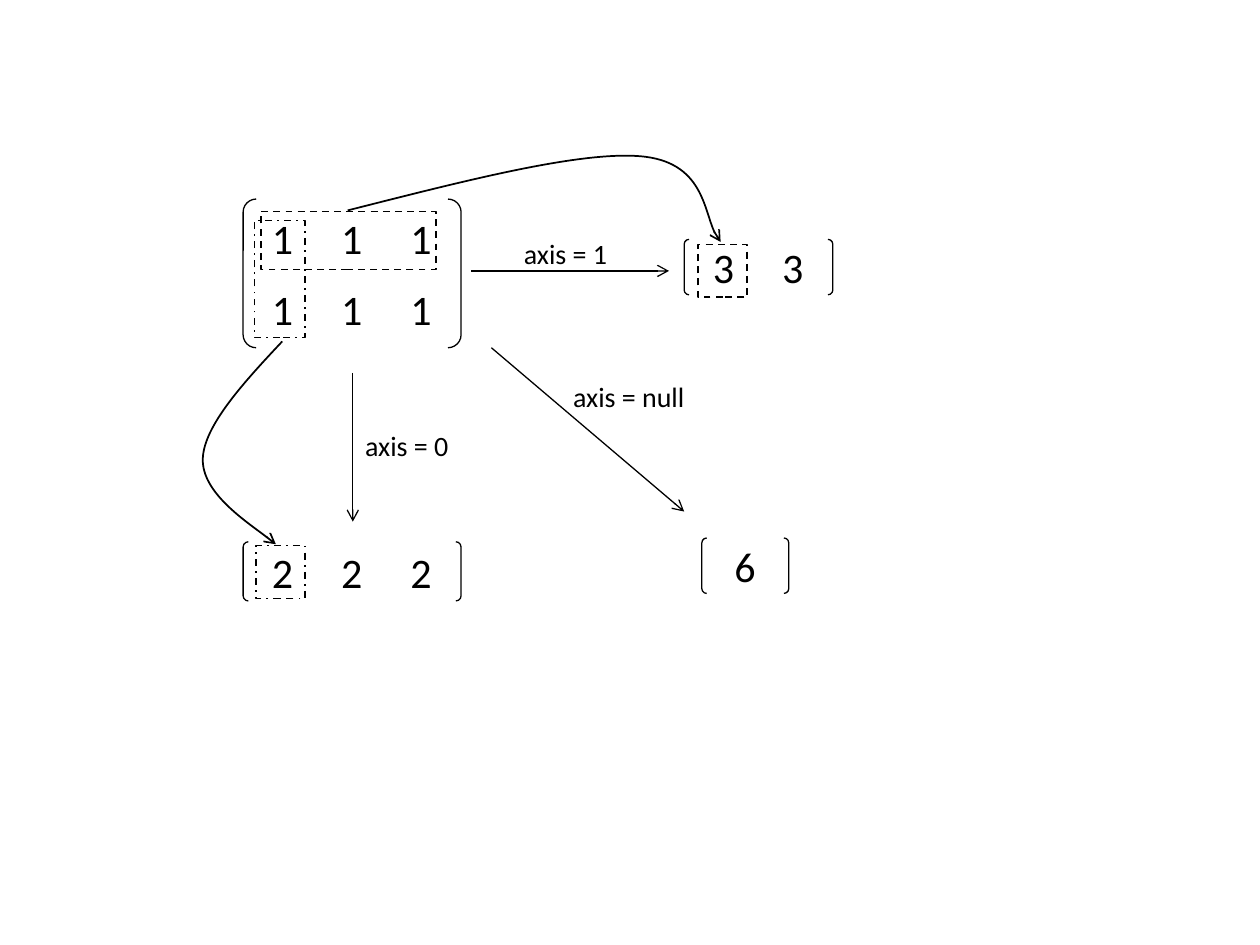
from lxml import etree
from pptx import Presentation
from pptx.dml.color import RGBColor
from pptx.enum.dml import MSO_LINE
from pptx.enum.shapes import MSO_CONNECTOR, MSO_SHAPE
from pptx.oxml.ns import qn
from pptx.util import Inches, Pt

BRACKETS, FRAME = MSO_SHAPE.DOUBLE_BRACKET, MSO_SHAPE.RECTANGLE
STRAIGHT = MSO_CONNECTOR.STRAIGHT
DASH, DASH_DOT = MSO_LINE.DASH, MSO_LINE.DASH_DOT
THEME = {
    "ink": RGBColor(0, 0, 0), "font": "Calibri", "digit": Pt(24), "label": Pt(16),
    "thin": Pt(0.75), "bold": Pt(1),
}

deck = Presentation()
deck.slide_width, deck.slide_height = Inches(10), Inches(7.5)
page = deck.slides.add_slide(deck.slide_layouts[6])
cell = deck.slide_width // 100
DIGIT_WIDTH, DIGIT_PITCH, ROW_HEIGHT, ROW_PITCH = 3.7, 5.5, 5, 5.6


def grid(*places):
    return [round(place * cell) for place in places]


def draw_line(shape, width, dash=None, arrow=False):
    shape.line.color.rgb = THEME["ink"]
    shape.line.width = width
    if dash:
        shape.line.dash_style = dash
    if arrow:
        etree.SubElement(shape.line._ln, qn("a:tailEnd"), type="arrow")


texts = []
matrices = [
    (19.3, 15.8, 17.3, 11.8, ["111", "111"]),
    (54.3, 19, 11.8, 4.4, ["33"]),
    (19.3, 43, 17.3, 4.7, ["222"]),
    (55.7, 42.7, 6.9, 4.4, ["6"]),
]
for left, top, width, height, rows in matrices:
    bracket = page.shapes.add_shape(BRACKETS, *grid(left, top, width, height))
    bracket.adjustments[0] = 0.088
    bracket.shadow.inherit = False
    bracket.fill.background()
    draw_line(bracket, THEME["thin"])
    first_row = top + (height - ROW_PITCH * (len(rows) - 1) - ROW_HEIGHT) / 2
    for index, digits in enumerate(rows):
        row_width = DIGIT_WIDTH + DIGIT_PITCH * (len(digits) - 1)
        place = (left + (width - row_width) / 2, first_row + index * ROW_PITCH,
                 row_width, ROW_HEIGHT)
        texts.append((place, "\t".join(digits), THEME["digit"]))

texts += [
    ((40.6, 18.3, 8.7, 3.7), "axis = 1", THEME["label"]),
    ((28, 33.5, 8.7, 3.7), "axis = 0", THEME["label"]),
    ((44.5, 29.6, 10.9, 3.7), "axis = null", THEME["label"]),
]
for place, wording, size in texts:
    box = page.shapes.add_textbox(*grid(*place))
    box.text_frame.word_wrap = True
    box.text_frame.margin_right = 0
    para = box.text_frame.paragraphs[0]
    span = para.add_run()
    span.text = wording
    span.font.name, span.font.size = THEME["font"], size
    span.font.color.rgb = THEME["ink"]
    if "\t" in wording:
        stops = etree.SubElement(para._p.get_or_add_pPr(), qn("a:tabLst"))
        for index in range(1, wording.count("\t") + 1):
            position = round(index * DIGIT_PITCH * cell)
            etree.SubElement(stops, qn("a:tab"), pos=str(position), algn="l")

for ends in [(37.4, 21.5, 53.1, 21.5), (28, 29.6, 28, 41.4), (39, 27.6, 54.3, 40.6)]:
    arrow = page.shapes.add_connector(STRAIGHT, *grid(*ends))
    draw_line(arrow, THEME["thin"], arrow=True)
    etree.SubElement(arrow._element.spPr, qn("a:effectLst"))

frames = [
    (20.7, 16.8, 13.9, 4.6, DASH),
    (55.4, 19.4, 3.9, 4.2, DASH),
    (20.3, 43.3, 3.9, 4.2, DASH_DOT),
    (20.2, 17.5, 4, 9.3, DASH_DOT),
]
for *place, dash in frames:
    frame = page.shapes.add_shape(FRAME, *grid(*place))
    frame.shadow.inherit = False
    frame.fill.background()
    draw_line(frame, THEME["bold"], dash)

curves = [
    [(27.6, 16.7), (36.7, 14.4), (45.9, 12), (50.8, 12.4),
     (55.8, 12.8), (56, 18), (57.2, 19.2)],
    [(22.4, 27.1), (19.3, 30.4), (16.2, 33.8), (16.1, 36.4),
     (16, 39.1), (20.7, 42.2), (21.9, 43.2)],
]
for start, *controls in curves:
    builder = page.shapes.build_freeform(*grid(*start))
    builder.add_line_segments([grid(*point) for point in controls], close=False)
    curve = builder.convert_to_shape()
    outline = next(curve._element.iter(qn("a:path")))
    segments = outline.findall(qn("a:lnTo"))
    for index in range(0, len(segments), 3):
        bezier = etree.SubElement(outline, qn("a:cubicBezTo"))
        for segment in segments[index:index + 3]:
            bezier.append(segment[0])
            outline.remove(segment)
    curve.shadow.inherit = False
    curve.fill.background()
    draw_line(curve, THEME["bold"], arrow=True)

deck.save("out.pptx")
